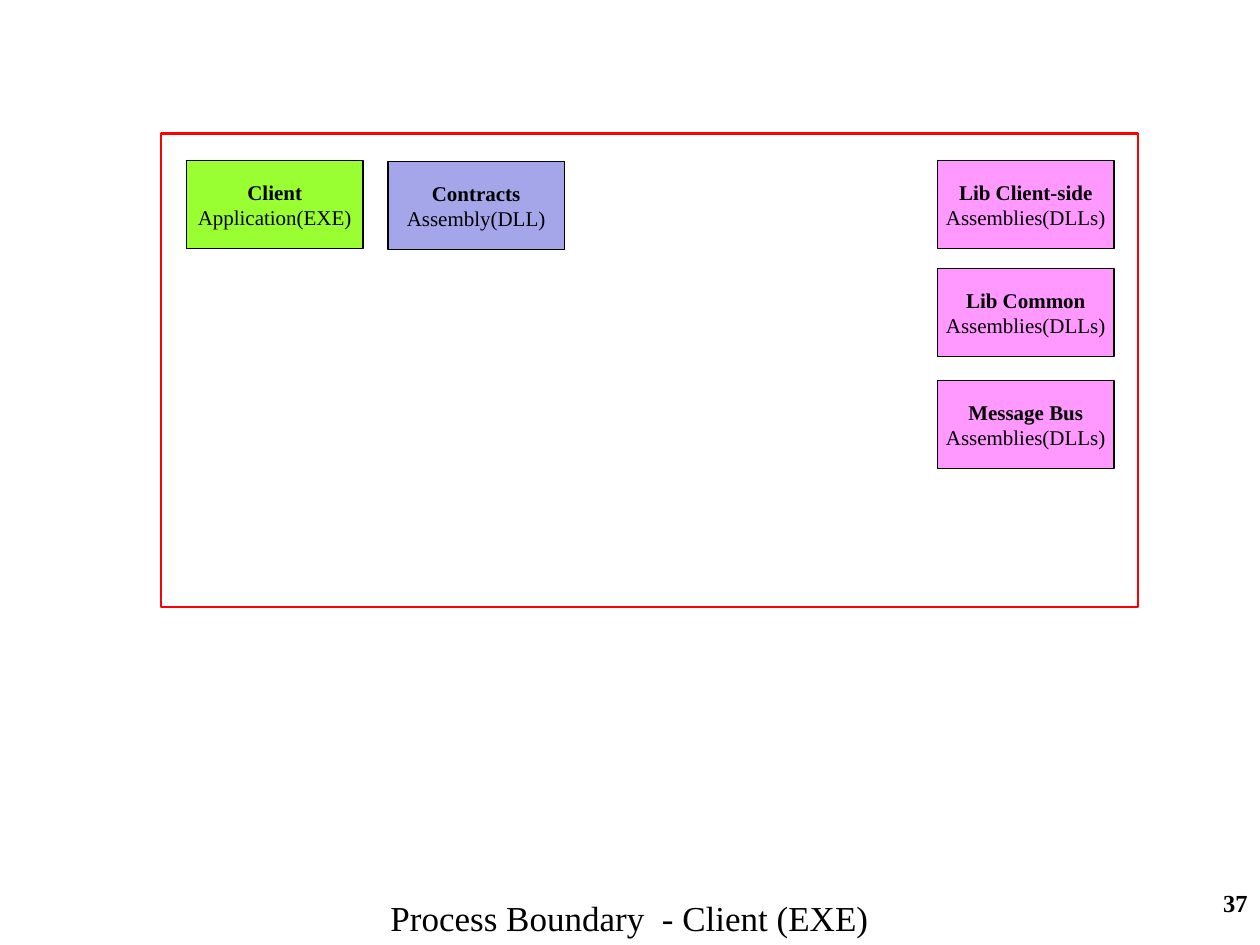
from dataclasses import dataclass

from pptx import Presentation
from pptx.dml.color import RGBColor
from pptx.enum.shapes import MSO_SHAPE
from pptx.enum.text import MSO_ANCHOR, MSO_AUTO_SIZE, PP_ALIGN
from pptx.util import Cm, Pt

RECTANGLE = MSO_SHAPE.RECTANGLE
TOP, MIDDLE = MSO_ANCHOR.TOP, MSO_ANCHOR.MIDDLE
CENTER, RIGHT = PP_ALIGN.CENTER, PP_ALIGN.RIGHT
NO_FIT = MSO_AUTO_SIZE.NONE

TITLE_ONLY = 5
FONT = "Times New Roman"
BLACK, RED = "000000", "FF0000"
GREEN, LILAC, PINK = "99FF33", "A5A5E9", "FF99FF"
BOX_WIDTH, BOX_HEIGHT = 3.56, 1.78
LIBRARY_LEFT = 18.9


@dataclass(frozen=True)
class Component:
    name: str
    packaging: str
    left: float
    top: float
    fill: str


COMPONENTS = [
    Component("Client", "Application(EXE)", 3.76, 3.23, GREEN),
    Component("Contracts", "Assembly(DLL)", 7.82, 3.25, LILAC),
    Component("Lib Client-side", "Assemblies(DLLs)", LIBRARY_LEFT, 3.23, PINK),
    Component("Lib Common", "Assemblies(DLLs)", LIBRARY_LEFT, 5.41, PINK),
    Component("Message Bus", "Assemblies(DLLs)", LIBRARY_LEFT, 7.67, PINK),
]


def color(value: str) -> RGBColor:
    return RGBColor.from_string(value)


def apply_format(target, values: dict) -> None:
    for name, value in values.items():
        setattr(target, name, value)


def write_line(para, text: str, size: float, bold: bool = False, align=CENTER) -> None:
    para.alignment = align
    span = para.add_run()
    span.text = text
    apply_format(span.font, {"name": FONT, "size": Pt(size), "bold": bold})
    span.font.color.rgb = color(BLACK)


def add_rectangle(page, left: float, top: float, width: float, height: float,
                  line: str, weight: float):
    box = page.shapes.add_shape(RECTANGLE, Cm(left), Cm(top), Cm(width), Cm(height))
    box.shadow.inherit = False
    box.fill.background()
    box.line.color.rgb = color(line)
    box.line.width = Pt(weight)
    return box


def add_component(page, item: Component) -> None:
    box = add_rectangle(page, item.left, item.top, BOX_WIDTH, BOX_HEIGHT, BLACK, 0.75)
    box.fill.solid()
    box.fill.fore_color.rgb = color(item.fill)
    frame = box.text_frame
    apply_format(frame, {"word_wrap": False, "vertical_anchor": MIDDLE})
    write_line(frame.paragraphs[0], item.name, 12, bold=True)
    write_line(frame.add_paragraph(), item.packaging, 12)


def add_title(page, text: str) -> None:
    title = page.shapes.title
    apply_format(title, {"left": Cm(6.71), "top": Cm(17.93),
                         "width": Cm(11.96), "height": Cm(1.12)})
    frame = title.text_frame
    apply_format(frame, {"word_wrap": True, "auto_size": NO_FIT,
                         "vertical_anchor": MIDDLE})
    write_line(frame.paragraphs[0], text, 20)


def add_page_number(page, number: str) -> None:
    box = page.shapes.add_textbox(Cm(20.12), Cm(17.78), Cm(5.28), Cm(1.27))
    frame = box.text_frame
    apply_format(frame, {"word_wrap": True, "vertical_anchor": TOP})
    write_line(frame.paragraphs[0], number, 14, bold=True, align=RIGHT)


def main() -> None:
    deck = Presentation()
    apply_format(deck, {"slide_width": Cm(25.4), "slide_height": Cm(19.05)})
    page = deck.slides.add_slide(deck.slide_layouts[TITLE_ONLY])
    add_page_number(page, "37")
    add_title(page, "Process Boundary  - Client (EXE)")
    add_rectangle(page, 3.25, 2.69, 19.69, 9.55, RED, 1.5)
    for item in COMPONENTS:
        add_component(page, item)
    deck.save("out.pptx")


if __name__ == "__main__":
    main()
